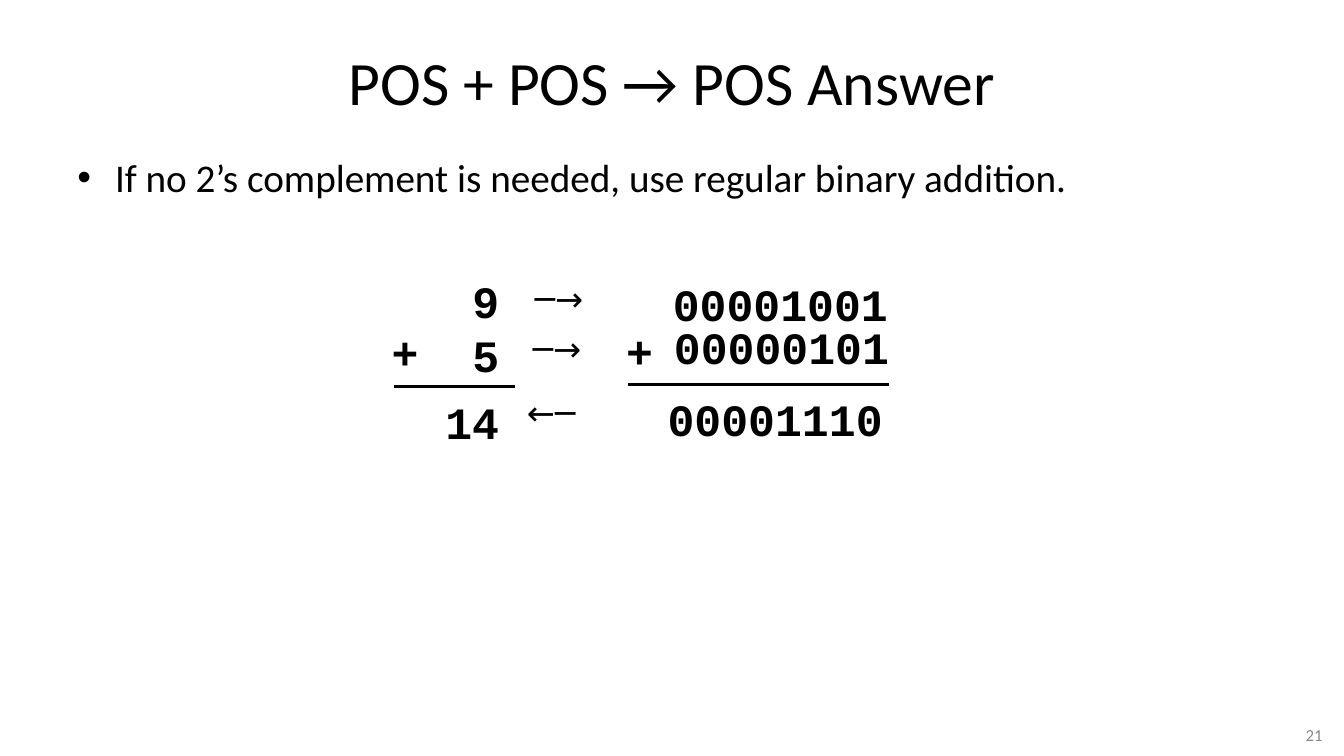
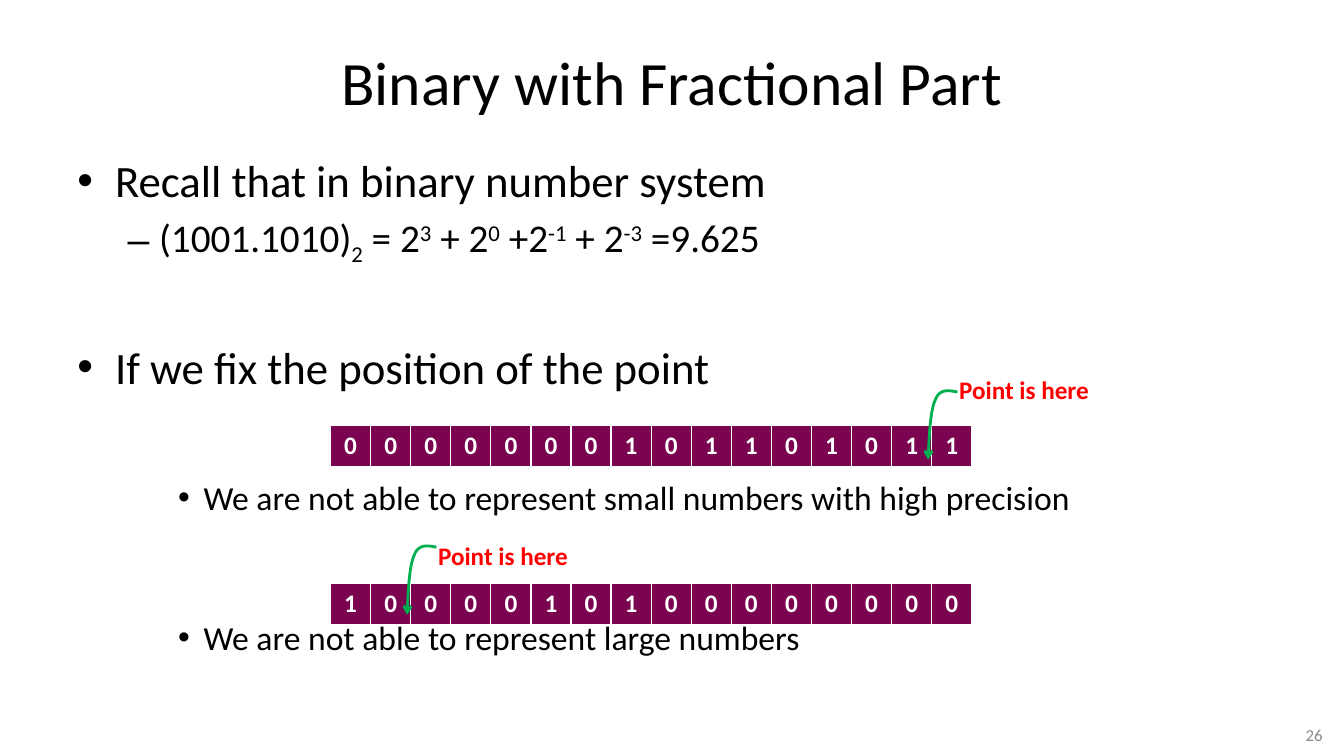
from lxml import etree
from pptx import Presentation
from pptx import util as u
from pptx.dml.color import RGBColor
from pptx.enum import shapes, text
from pptx.oxml import ns

COLORS = {
    "ink": "000000",
    "footer": "898989",
    "cell": "7A0450",
    "cell_text": "FFFFFF",
    "label": "FF0000",
    "pointer": "00B050",
}
LEFT, CENTER, RIGHT = text.PP_ALIGN.LEFT, text.PP_ALIGN.CENTER, text.PP_ALIGN.RIGHT
MONO = {"font": "Courier New", "size": 32, "bold": True}

# Bullet levels: sign, left margin, hanging indent (cm)
BULLETS = [("•", 0.95, 0.95), ("–", 2.06, 0.79), ("•", 3.18, 0.64)]

# Register of 16 bits
REGISTER_LEFT, BIT_WIDTH, BIT_HEIGHT = 8.33, 1.01, 1.03


def rgb(name):
    return RGBColor.from_string(COLORS[name])


def sub(parent, tag, **attributes):
    return etree.SubElement(parent, ns.qn(tag), attributes)


def write(paragraph, content, *, size, font="Calibri", color="ink", bold=False,
          align=LEFT, baseline=0):
    """Append one formatted run to a paragraph."""
    paragraph.alignment = align
    run = paragraph.add_run()
    run.text = content
    run.font.name = font
    run.font.size = u.Pt(size)
    run.font.bold = bold
    run.font.color.rgb = rgb(color)
    if baseline:
        run.font._element.set("baseline", str(baseline * 1000))


def add_frame(slide, left, top, width, height, anchor=text.MSO_ANCHOR.TOP):
    box = slide.shapes.add_textbox(u.Cm(left), u.Cm(top), u.Cm(width), u.Cm(height))
    frame = box.text_frame
    frame.word_wrap = True
    frame.vertical_anchor = anchor
    return frame


def add_label(slide, content, left, top, width, height=1.6,
              anchor=text.MSO_ANCHOR.TOP, **style):
    frame = add_frame(slide, left, top, width, height, anchor)
    write(frame.paragraphs[0], content, **style)


def add_bullets(slide, items):
    """Items are (level, space before in points, size, runs of (text, baseline))."""
    frame = add_frame(slide, 1.7, 3.73, 30.48, 14)
    for index, (level, space, size, runs) in enumerate(items):
        paragraph = frame.add_paragraph() if index else frame.paragraphs[0]
        paragraph.space_before = u.Pt(space)
        for content, baseline in runs:
            write(paragraph, content, size=size, baseline=baseline)
        sign, margin, hanging = BULLETS[level]
        properties = paragraph._p.get_or_add_pPr()
        properties.set("marL", str(u.Cm(margin)))
        properties.set("indent", str(-u.Cm(hanging)))
        sub(properties, "a:buFont", typeface="Arial")
        sub(properties, "a:buChar", char=sign)


def add_sum_line(slide, left, right, y):
    line = slide.shapes.add_connector(
        shapes.MSO_CONNECTOR.STRAIGHT, u.Cm(left), u.Cm(y), u.Cm(right), u.Cm(y))
    line.line.color.rgb = rgb("ink")
    line.line.width = u.Pt(2.25)
    sub(line._element.spPr, "a:effectLst")


def add_register(slide, bits, top):
    table = slide.shapes.add_table(
        1, len(bits), u.Cm(REGISTER_LEFT), u.Cm(top),
        u.Cm(BIT_WIDTH * len(bits)), u.Cm(BIT_HEIGHT)).table
    for column, bit in enumerate(bits):
        table.columns[column].width = u.Cm(BIT_WIDTH)
        cell = table.cell(0, column)
        cell.fill.solid()
        cell.fill.fore_color.rgb = rgb("cell")
        write(cell.text_frame.paragraphs[0], bit, size=18, bold=True,
              color="cell_text", align=CENTER)


def bezier(points, steps=12):
    """Points along a cubic curve, without its start."""
    for step in range(1, steps + 1):
        t = step / steps
        weights = ((1 - t) ** 3, 3 * t * (1 - t) ** 2, 3 * t * t * (1 - t), t ** 3)
        yield tuple(sum(w * p[axis] for w, p in zip(weights, points)) for axis in (0, 1))


def add_pointer(slide, x, tip):
    """Curved arrow that comes down to (x, tip) from the upper right."""
    offsets = [(0.74, -1.7), (0.51, -1.75), (0.28, -1.78), (0.18, -1.5),
               (0.05, -1.22), (0.03, -0.61), (0, 0)]
    curve = [(u.Cm(x + dx), u.Cm(tip + dy)) for dx, dy in offsets]
    builder = slide.shapes.build_freeform(*curve[0])
    builder.add_line_segments([*bezier(curve[:4]), *bezier(curve[3:])], close=False)
    pointer = builder.convert_to_shape()
    pointer.shadow.inherit = False
    pointer.fill.background()
    pointer.line.color.rgb = rgb("pointer")
    pointer.line.width = u.Pt(2)
    sub(pointer.line._get_or_add_ln(), "a:tailEnd", type="arrow")


def add_point_mark(slide, bits_before, tip, label_top):
    x = REGISTER_LEFT + BIT_WIDTH * bits_before - 0.09
    add_label(slide, "Point is here", x + 0.53, label_top, 4, 1.02,
              size=18, bold=True, color="label")
    add_pointer(slide, x, tip)


def start_slide(deck, title, number):
    slide = deck.slides.add_slide(deck.slide_layouts[5])
    heading = slide.shapes.title
    heading.left, heading.top = u.Cm(1.7), u.Cm(0.76)
    heading.width, heading.height = u.Cm(30.48), u.Cm(2.57)
    heading.text_frame.vertical_anchor = text.MSO_ANCHOR.MIDDLE
    write(heading.text_frame.paragraphs[0], title, size=44, align=CENTER)
    add_label(slide, number, 29.95, 18.14, 3.63, 0.74, text.MSO_ANCHOR.MIDDLE,
              size=12, color="footer", align=RIGHT)
    return slide


def build_addition(deck):
    slide = start_slide(deck, "POS + POS → POS Answer", "21")
    add_bullets(slide, [
        (0, 0, 28, [("If no 2’s complement is needed, use regular binary addition.", 0)])])

    # Decimal sum
    decimals = add_frame(slide, 10.67, 6.78, 2.16, 4.7)
    for index, value in enumerate(("9", "5", "14")):
        paragraph = decimals.add_paragraph() if index else decimals.paragraphs[0]
        write(paragraph, value, align=RIGHT, **MONO)
    paragraph.line_spacing = 1.25

    # Binary sum
    for value, left, top in (("00001001", 16.28, 6.86), ("00000101", 16.31, 7.92),
                             ("00001110", 16.15, 9.75)):
        add_label(slide, value, left, top, 6.35, align=RIGHT, **MONO)

    # Plus signs and sum lines
    for left, top in ((9.33, 8.06), (15.24, 8.03)):
        add_label(slide, "+", left, top, 1.47, align=RIGHT, **MONO)
    add_sum_line(slide, 9.93, 12.98, 9.73)
    add_sum_line(slide, 15.82, 22.4, 9.7)

    # Conversion arrows
    for arrow, left, top in (("─→", 13.23, 6.88), ("─→", 13.18, 8.13),
                             ("←─", 13.03, 9.75)):
        add_label(slide, arrow, left, top, 2.18, 1.3, size=24, font="Roboto")


def build_fraction(deck):
    slide = start_slide(deck, "Binary with Fractional Part", "26")
    expansion = [("(1001.1010)", 0), ("2", -25), (" = 2", 0), ("3", 30), (" + 2", 0),
                 ("0", 30), (" +2", 0), ("-1", 30), (" + 2", 0), ("-3", 30),
                 (" =9.625", 0)]
    add_bullets(slide, [
        (0, 0, 32, [("Recall that in binary number system", 0)]),
        (1, 5, 28, expansion),
        (0, 51.5, 32, [("If we fix the position of the point", 0)]),
        (2, 59.5, 24,
         [("We are not able to represent small numbers with high precision", 0)]),
        (2, 71.5, 24, [("We are not able to represent large numbers", 0)]),
    ])

    # Registers with their fixed points
    add_register(slide, "0000000101101011", 10.72)
    add_register(slide, "1000010100000000", 14.71)
    add_point_mark(slide, 15, 11.58, 9.3)
    add_point_mark(slide, 2, 15.49, 13.49)


def main():
    deck = Presentation()
    deck.slide_width, deck.slide_height = u.Cm(33.87), u.Cm(19.05)
    build_addition(deck)
    build_fraction(deck)
    deck.save("out.pptx")


if __name__ == "__main__":
    main()
